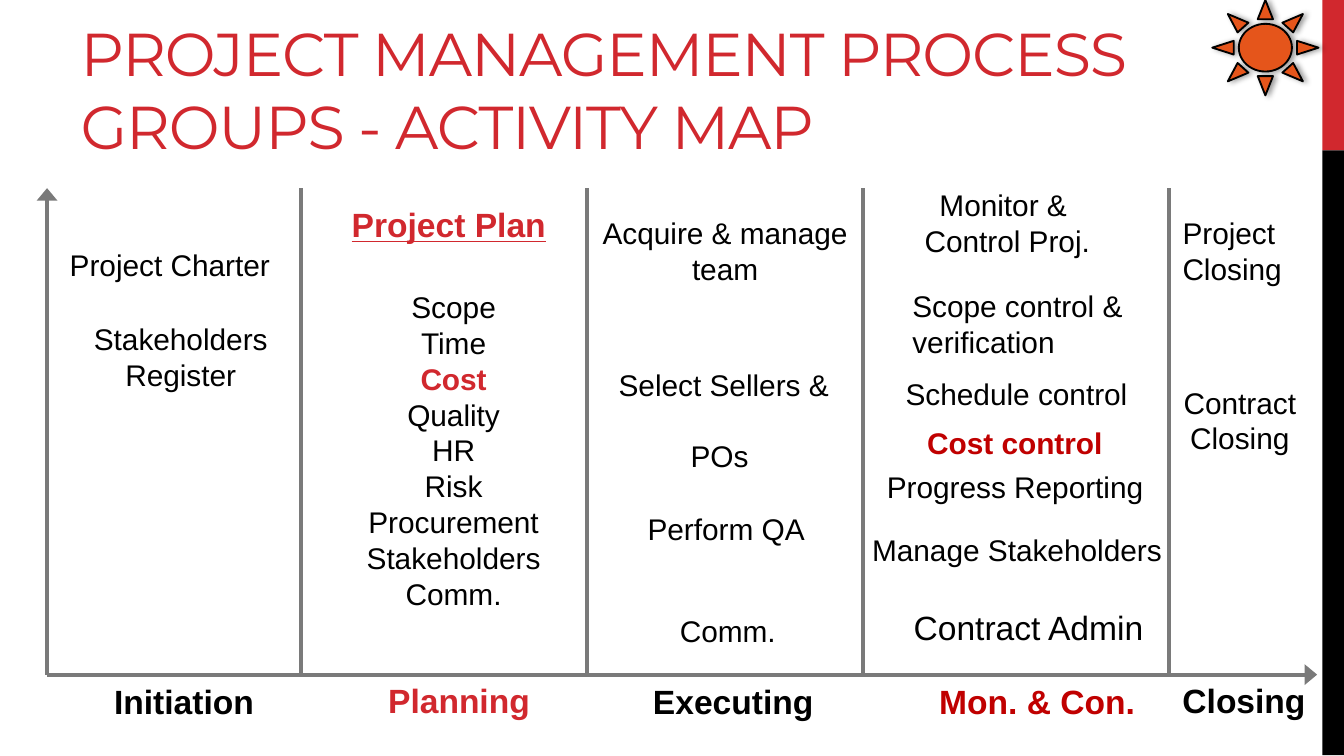
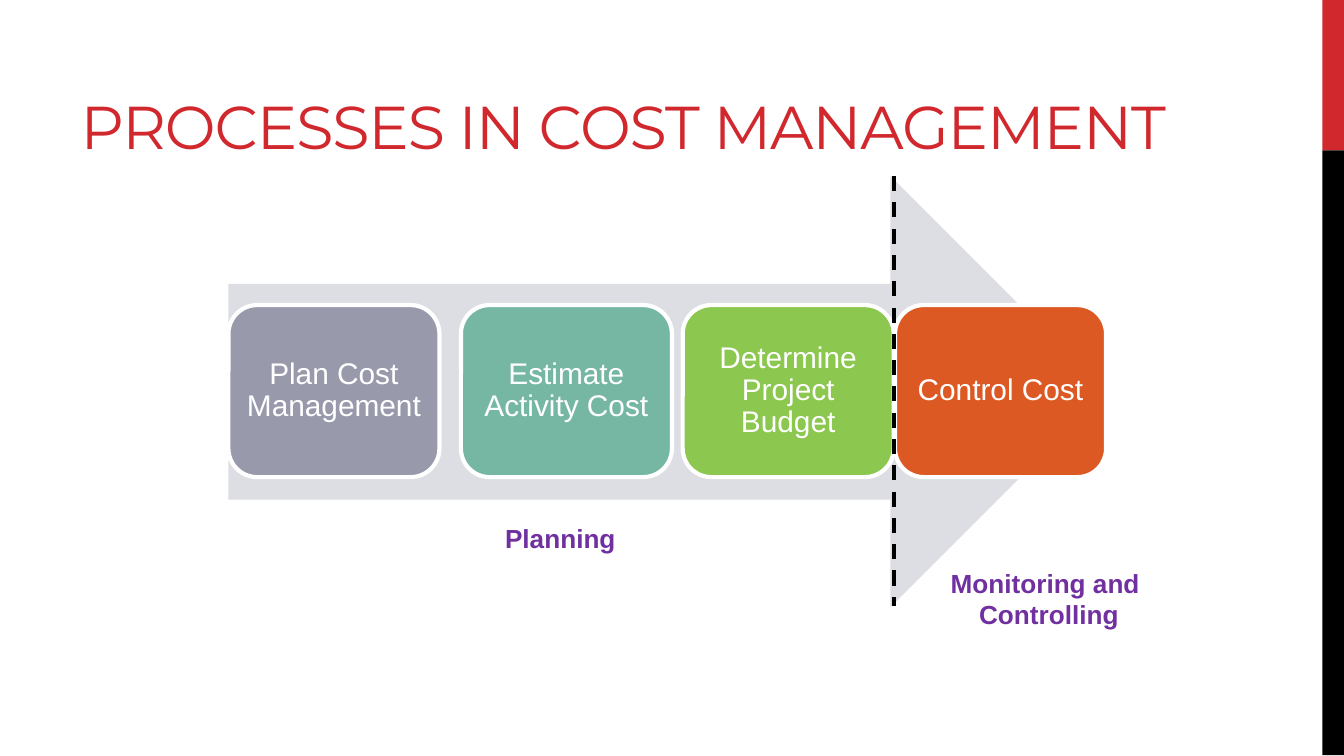
from dataclasses import dataclass

from lxml import etree
from pptx import Presentation
from pptx.dml.color import RGBColor
from pptx.enum.dml import MSO_LINE
from pptx.enum.shapes import MSO_CONNECTOR, MSO_SHAPE
from pptx.enum.text import MSO_ANCHOR, MSO_AUTO_SIZE, PP_ALIGN
from pptx.oxml.ns import qn
from pptx.util import Emu, Pt

STRAIGHT = MSO_CONNECTOR.STRAIGHT
RECTANGLE, ROUNDED = MSO_SHAPE.RECTANGLE, MSO_SHAPE.ROUNDED_RECTANGLE
RIGHT_ARROW, SUN = MSO_SHAPE.RIGHT_ARROW, MSO_SHAPE.SUN
LEFT, CENTER = PP_ALIGN.LEFT, PP_ALIGN.CENTER
MIDDLE, BOTTOM = MSO_ANCHOR.MIDDLE, MSO_ANCHOR.BOTTOM
NO_FIT, GROW = MSO_AUTO_SIZE.NONE, MSO_AUTO_SIZE.SHAPE_TO_FIT_TEXT
DASH = MSO_LINE.DASH
TITLE_ONLY = 5
EMU_PER_PX = 9144


@dataclass(frozen=True)
class TextStyle:
    """Look of a paragraph."""
    size: float
    color: str
    bold: bool = False
    underline: bool = False
    font: str = "Arial"


@dataclass(frozen=True)
class Theme:
    """Colours and type styles shared by the slides."""
    red: str = "D1282E"
    black: str = "000000"
    white: str = "FFFFFF"
    axis: str = "7A7A7A"
    sun: str = "E5551B"
    arrow: str = "DDDEE3"
    title: TextStyle = TextStyle(32.4, "D1282E", font="Montserrat")
    body: TextStyle = TextStyle(16, "000000")
    large: TextStyle = TextStyle(18, "000000")
    phase: TextStyle = TextStyle(18, "000000", bold=True)
    planning: TextStyle = TextStyle(18, "D1282E", bold=True)
    control: TextStyle = TextStyle(18, "C00000", bold=True)
    plan: TextStyle = TextStyle(18, "D1282E", bold=True, underline=True)
    cost: TextStyle = TextStyle(16, "D1282E", bold=True)
    cost_control: TextStyle = TextStyle(16, "C00000", bold=True)
    stage: TextStyle = TextStyle(14, "7030A0", bold=True)
    process: TextStyle = TextStyle(16, "FFFFFF")


THEME = Theme()

PHASES = [
    (75, 502, 125, "Initiation", THEME.phase),
    (279, 501, 127, "Planning", THEME.planning),
    (476, 502, 141, "Executing", THEME.phase),
    (689, 502, 167, "Mon. & Con.", THEME.control),
    (870, 501, 113, "Closing", THEME.phase),
]

LEFT_ACTIVITIES = [
    (42, 179, 171, "Project Charter", THEME.body),
    (870, 155, 95, "Project\nClosing", THEME.body),
    (472, 375, 138, "Perform QA", THEME.body),
    (496, 451, 92, "Comm.", THEME.body),
    (680, 311, 152, "Cost control", THEME.cost_control),
    (669, 209, 180, "Scope control &\nverification", THEME.body),
    (664, 275, 187, "Schedule control", THEME.body),
    (650, 344, 214, "Progress Reporting", THEME.body),
    (639, 391, 238, "Manage Stakeholders", THEME.body),
    (670, 447, 193, "Contract Admin", THEME.large),
]

CENTERED_ACTIVITIES = [
    (59, 234, 151, "Stakeholders\nRegister", THEME.body),
    (251, 147, 166, "Project Plan", THEME.plan),
    (870, 281, 105, "Contract\nClosing", THEME.body),
    (437, 155, 205, "Acquire & manage\nteam", THEME.body),
    (677, 134, 145, "Monitor & \nControl Proj.", THEME.body),
]

PLAN_PARTS = ("Scope\nTime\nCost\nQuality\nHR\nRisk\nProcurement\n"
              "Stakeholders\nComm.")

PROCESSES = [
    (170, "Plan Cost Management", "989AAC"),
    (343, "Estimate Activity Cost", "76B7A3"),
    (508, "Determine Project Budget", "8CC74F"),
    (666, "Control Cost", "DC5924"),
]


def px(*lengths):
    """Turn px lengths into EMU."""
    return [Emu(length * EMU_PER_PX) for length in lengths]


def rgb(color):
    """Turn a hex string into a colour."""
    return RGBColor.from_string(color)


def style_paragraph(paragraph, style, alignment):
    """Apply a text style to a whole paragraph."""
    paragraph.alignment = alignment
    font = paragraph.font
    font.name = style.font
    font.size = Pt(style.size)
    font.bold = style.bold
    font.underline = style.underline
    font.color.rgb = rgb(style.color)


def add_title_slide(presentation, text, width):
    """Add a slide with its title."""
    slide = presentation.slides.add_slide(presentation.slide_layouts[TITLE_ONLY])
    title = slide.shapes.title
    title.left, title.top, title.width, title.height = px(50, 13, width, 112)
    frame = title.text_frame
    frame.text = text
    frame.word_wrap = True
    frame.auto_size = NO_FIT
    frame.vertical_anchor = BOTTOM
    style_paragraph(frame.paragraphs[0], THEME.title, LEFT)
    for properties in title.element.iter(qn("a:defRPr")):
        properties.set("spc", "-60")
    return slide


def add_label(slide, left, top, width, text, style, alignment=LEFT):
    """Add an unwrapped label, one paragraph per line, and return them."""
    lines = text.split("\n")
    height = 10 + round(style.size * 1.68 * len(lines))
    frame = slide.shapes.add_textbox(*px(left, top, width, height)).text_frame
    frame.text = text
    frame.word_wrap = False
    frame.auto_size = GROW
    for paragraph in frame.paragraphs:
        style_paragraph(paragraph, style, alignment)
    return frame.paragraphs


def add_block(slide, kind, box, fill, line=None, line_width=1):
    """Add a flat preset shape."""
    shape = slide.shapes.add_shape(kind, *px(*box))
    shape.shadow.inherit = False
    shape.fill.solid()
    shape.fill.fore_color.rgb = rgb(fill)
    if line:
        shape.line.color.rgb = rgb(line)
        shape.line.width = Pt(line_width)
    else:
        shape.line.fill.background()
    return shape


def add_line(slide, start, end, color, width, dash=None, arrow=False):
    """Add a straight line, dashed or with an arrowhead if asked."""
    connector = slide.shapes.add_connector(STRAIGHT, *px(*start, *end))
    connector.line.color.rgb = rgb(color)
    connector.line.width = Pt(width)
    if dash:
        connector.line.dash_style = dash
    properties = connector.element.spPr
    if arrow:
        outline = properties.find(qn("a:ln"))
        etree.SubElement(outline, qn("a:tailEnd"), type="triangle", w="lg")
    etree.SubElement(properties, qn("a:effectLst"))


def add_sun(slide):
    """Add the sun with its soft shadow."""
    sun = add_block(slide, SUN, (902, 0, 79, 71), THEME.sun, THEME.black)
    effects = sun.element.spPr.find(qn("a:effectLst"))
    shadow = etree.SubElement(effects, qn("a:outerShdw"), dir="0",
                              blurRad=str(Pt(3.1)), dist=str(Pt(1.8)))
    color = etree.SubElement(shadow, qn("a:srgbClr"), val=THEME.black)
    etree.SubElement(color, qn("a:alpha"), val="40000")


def add_process(slide, left, text, fill):
    """Add a rounded process box with its name."""
    box = add_block(slide, ROUNDED, (left, 227, 157, 128), fill, THEME.white, 2.25)
    frame = box.text_frame
    frame.text = text
    frame.word_wrap = True
    frame.vertical_anchor = MIDDLE
    frame.margin_left, frame.margin_right = px(7, 7)
    frame.margin_top, frame.margin_bottom = px(7, 7)
    paragraph = frame.paragraphs[0]
    style_paragraph(paragraph, THEME.process, CENTER)
    paragraph.line_spacing = 0.9


def add_bands(slide):
    """Put the side bands on the layout that the slides share."""
    for top, height, color in ((0, 112, THEME.red), (112, 450, THEME.black)):
        band = add_block(slide, RECTANGLE, (984, top, 16, height), color)
        slide.slide_layout.shapes.element.append(band.element)


def build_activity_map(presentation):
    """Build the map of activities by process group."""
    slide = add_title_slide(
        presentation, "PROJECT MANAGEMENT PROCESS GROUPS - ACTIVITY MAP", 915)
    for end in ((980, 502), (35, 140)):
        add_line(slide, (35, 502), end, THEME.axis, 2.25, arrow=True)
    for divider in (224, 437, 642, 870):
        add_line(slide, (divider, 140), (divider, 502), THEME.axis, 2.25)
    for label in PHASES + LEFT_ACTIVITIES:
        add_label(slide, *label)
    for label in CENTERED_ACTIVITIES:
        add_label(slide, *label, CENTER)
    for paragraph in add_label(slide, 262, 210, 151, PLAN_PARTS, THEME.body, CENTER):
        if paragraph.text == "Cost":
            style_paragraph(paragraph, THEME.cost, CENTER)
    sellers = add_label(slide, 449, 268, 179, "Select Sellers &\nPOs ",
                        THEME.body, CENTER)
    sellers[1].space_before = Pt(19)
    add_sun(slide)
    return slide


def build_cost_processes(presentation):
    """Build the chain of cost management processes."""
    slide = add_title_slide(presentation, "PROCESSES IN COST MANAGEMENT", 899)
    add_block(slide, RIGHT_ARROW, (170, 131, 653, 321), THEME.arrow)
    for process in PROCESSES:
        add_process(slide, *process)
    add_line(slide, (665, 131), (665, 451), THEME.black, 2, dash=DASH)
    add_label(slide, 366, 384, 103, "Planning", THEME.stage)
    add_label(slide, 697, 417, 167, "Monitoring and \nControlling",
              THEME.stage, CENTER)


def main():
    """Build and save the presentation."""
    presentation = Presentation()
    presentation.slide_width, = px(1000)
    presentation.slide_height = presentation.slide_width * 9 // 16
    activity_map = build_activity_map(presentation)
    build_cost_processes(presentation)
    add_bands(activity_map)
    presentation.save("out.pptx")


if __name__ == "__main__":
    main()
